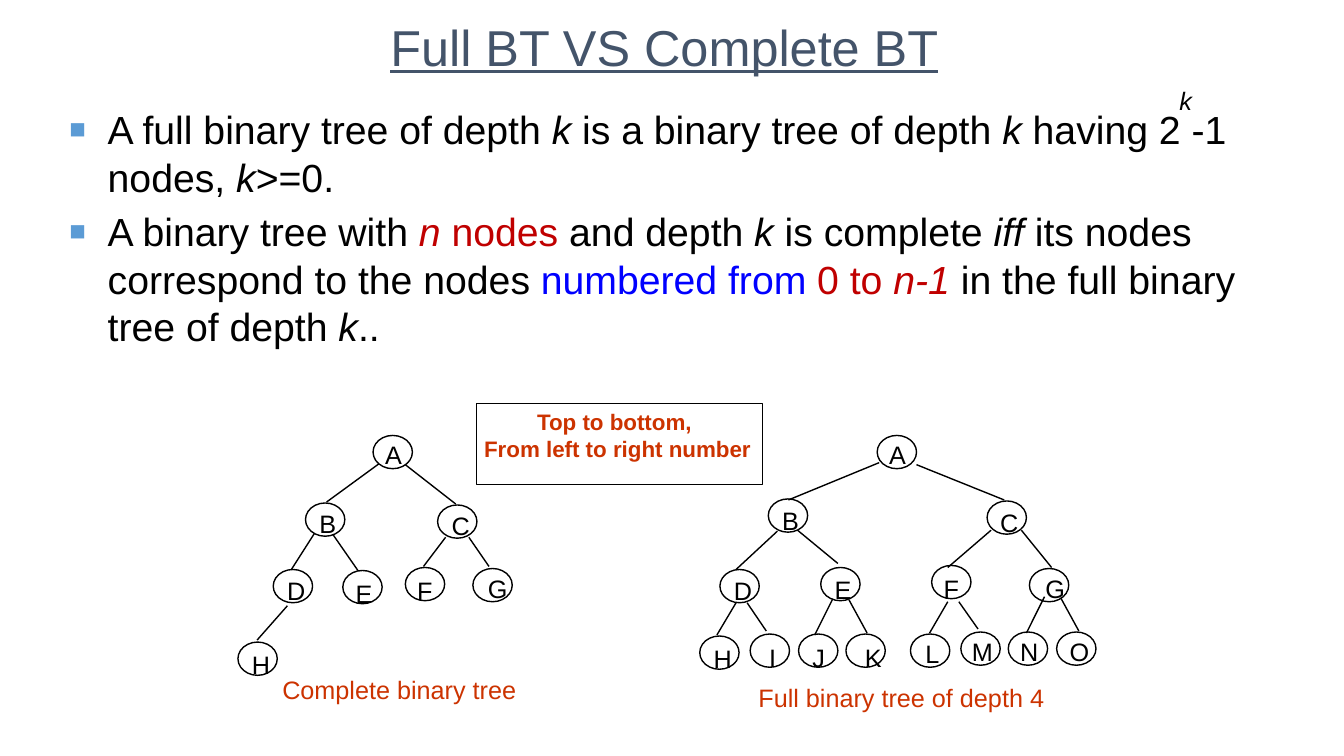
from dataclasses import dataclass

from lxml import etree
from pptx import Presentation
from pptx.dml.color import RGBColor
from pptx.enum.shapes import MSO_CONNECTOR, MSO_SHAPE
from pptx.enum.text import MSO_ANCHOR, MSO_AUTO_SIZE, PP_ALIGN
from pptx.oxml.ns import qn
from pptx.util import Pt

SCALE = 9144  # 100 px to the inch
LEFT, MID = PP_ALIGN.LEFT, PP_ALIGN.CENTER
TOP, CENTER = MSO_ANCHOR.TOP, MSO_ANCHOR.MIDDLE
GROW, FIXED = MSO_AUTO_SIZE.SHAPE_TO_FIT_TEXT, MSO_AUTO_SIZE.NONE
OVAL, RECT = MSO_SHAPE.OVAL, MSO_SHAPE.RECTANGLE
STRAIGHT = MSO_CONNECTOR.STRAIGHT


@dataclass(frozen=True)
class Theme:
    font: str = "Arial"
    ink: str = "000000"
    slate: str = "44546A"
    mark: str = "5B9BD5"
    red: str = "C00000"
    blue: str = "0000FF"
    rust: str = "CC3300"
    head: int = 36
    body: int = 28
    label: int = 18
    note: int = 16


def px(*sizes):
    return [size * SCALE for size in sizes]


class Deck:
    def __init__(self, theme):
        self.theme = theme
        self.file = Presentation()
        self.file.slide_width, self.file.slide_height = px(1333, 750)
        self.slide = self.file.slides.add_slide(self.file.slide_layouts[6])

    def run(self, par, text, size=None, color=None, bold=False,
            italic=False, under=False):
        run = par.add_run()
        run.text = text
        font = run.font
        font.name = self.theme.font
        font.size = Pt(size or self.theme.label)
        font.color.rgb = RGBColor.from_string(color or self.theme.ink)
        font.bold, font.italic, font.underline = bold, italic, under

    def bullet(self, par):
        """Give the paragraph a hanging square mark."""
        props = par._p.get_or_add_pPr()
        indent = 38 * SCALE
        props.set("marL", str(indent))
        props.set("indent", str(-indent))
        color = etree.SubElement(props, qn("a:buClr"))
        etree.SubElement(color, qn("a:srgbClr"), val=self.theme.mark)
        etree.SubElement(props, qn("a:buSzPct"), val="70000")
        etree.SubElement(props, qn("a:buFont"), typeface=self.theme.font)
        etree.SubElement(props, qn("a:buChar"), char="■")

    def text(self, box, pars, align=LEFT, anchor=TOP, wrap=False, fit=GROW,
             marks=False, gap=0, **style):
        """Add a text box; each paragraph is a list of (text, format) runs."""
        frame = self.slide.shapes.add_textbox(*px(*box)).text_frame
        frame.word_wrap = wrap
        frame.auto_size = fit
        frame.vertical_anchor = anchor
        for i, runs in enumerate(pars):
            par = frame.add_paragraph() if i else frame.paragraphs[0]
            par.alignment = align
            if i and gap:
                par.space_before = Pt(gap)
            if marks:
                self.bullet(par)
            for words, extra in runs:
                self.run(par, words, **{**style, **extra})

    def shape(self, kind, box, width=1):
        item = self.slide.shapes.add_shape(kind, *px(*box))
        item.shadow.inherit = False
        item.fill.background()
        item.line.color.rgb = RGBColor.from_string(self.theme.ink)
        item.line.width = Pt(width)

    def line(self, ends):
        item = self.slide.shapes.add_connector(STRAIGHT, *px(*ends))
        item.line.color.rgb = RGBColor.from_string(self.theme.ink)
        item.line.width = Pt(1)
        etree.SubElement(item._element.spPr, qn("a:effectLst"))

    def node(self, name, x, y, dx, dy):
        """Draw a circle with its letter box set off by dx, dy."""
        self.shape(OVAL, (x, y, 39, 33))
        self.text((x + dx, y + dy, WIDTHS[name], 40), [[(name, {})]])

    def tree(self, nodes, edges):
        for node in nodes:
            self.node(*node)
        for edge in edges:
            self.line(edge)


WIDTHS = dict(zip("ABCDEFGHIJKLMNO", (
    38, 37, 39, 38, 37, 36, 40, 38, 27, 33, 38, 35, 42, 38, 40)))

# Nodes: letter, left, top, letter offset. Edges: start, end.
PART_NODES = [
    ("A", 370, 432, 2, -1),
    ("B", 303, 499, 4, 0), ("C", 434, 501, 4, 0),
    ("D", 271, 565, 4, 1), ("E", 340, 566, 3, 3),
    ("F", 402, 563, 2, 3), ("G", 469, 564, 5, 0),
    ("H", 236, 637, 4, 2),
]
PART_EDGES = [
    (376, 460, 324, 498), (402, 461, 452, 500),
    (312, 529, 289, 565), (330, 530, 355, 566),
    (442, 533, 420, 562), (465, 533, 485, 562),
    (285, 601, 255, 635),
]
FULL_NODES = [
    ("A", 870, 432, 2, -1),
    ("B", 762, 495, 4, 1), ("C", 979, 497, 3, 1),
    ("D", 714, 565, 4, 1), ("E", 814, 563, 4, 2),
    ("F", 924, 561, 2, 3), ("G", 1021, 564, 6, 0),
    ("H", 694, 631, 4, 2), ("I", 744, 629, 9, 3),
    ("J", 792, 629, 4, 3), ("K", 839, 629, 9, 3),
    ("L", 903, 629, 5, -1), ("M", 953, 627, 1, -1),
    ("N", 1000, 627, 2, -1), ("O", 1048, 627, 3, -1),
]
FULL_EDGES = [
    (872, 459, 782, 496), (909, 461, 996, 496),
    (771, 527, 730, 565), (791, 526, 831, 559),
    (983, 526, 940, 563), (1013, 526, 1043, 563),
    (730, 598, 711, 630), (741, 598, 760, 626),
    (826, 594, 808, 630), (842, 595, 860, 628),
    (940, 597, 922, 628), (951, 597, 970, 624),
    (1036, 592, 1018, 628), (1052, 593, 1070, 626),
]


def main():
    look = Theme()
    deck = Deck(look)
    plain, slant = {}, {"italic": True}
    red, blue = {"color": look.red}, {"color": look.blue}

    deck.text((158, -17, 1002, 125), [[("Full BT VS Complete BT", plain)]],
              align=MID, anchor=CENTER, wrap=True, fit=FIXED,
              size=look.head, color=look.slate, under=True)
    full = [
        ("A full binary tree of depth ", plain), ("k", slant),
        (" is a binary tree of depth ", plain), ("k", slant),
        (" having 2 -1 nodes, ", plain), ("k", slant), (">=0.", plain),
    ]
    part = [
        ("A binary tree with ", plain), ("n", {**red, **slant}),
        (" nodes ", red), ("and depth ", plain), ("k", slant),
        (" is complete ", plain), ("iff", slant),
        (" its nodes correspond to the nodes ", plain),
        ("numbered from ", blue), ("0 to ", red), ("n-1 ", {**red, **slant}),
        ("in the full binary tree of depth ", plain), ("k", slant),
        ("..", plain),
    ]
    deck.text((59, 100, 1192, 249), [full, part], wrap=True, fit=FIXED,
              marks=True, gap=5.6, size=look.body)
    deck.text((1160, 80, 40, 40), [[("k", slant)]], wrap=True)

    deck.tree(PART_NODES, PART_EDGES)
    deck.tree(FULL_NODES, FULL_EDGES)

    deck.text((468, 400, 289, 64),
              [[("Top to bottom, ", plain)],
               [("From left to right number", plain)]],
              align=MID, size=look.note, color=look.rust, bold=True)
    deck.shape(RECT, (473, 400, 283, 81), width=0.75)
    for box, words in (((741, 672, 306, 40), "Full binary tree of depth 4"),
                       ((269, 664, 254, 40), "Complete binary tree")):
        deck.text(box, [[(words, plain)]], align=MID, color=look.rust)
    deck.file.save("out.pptx")


if __name__ == "__main__":
    main()
